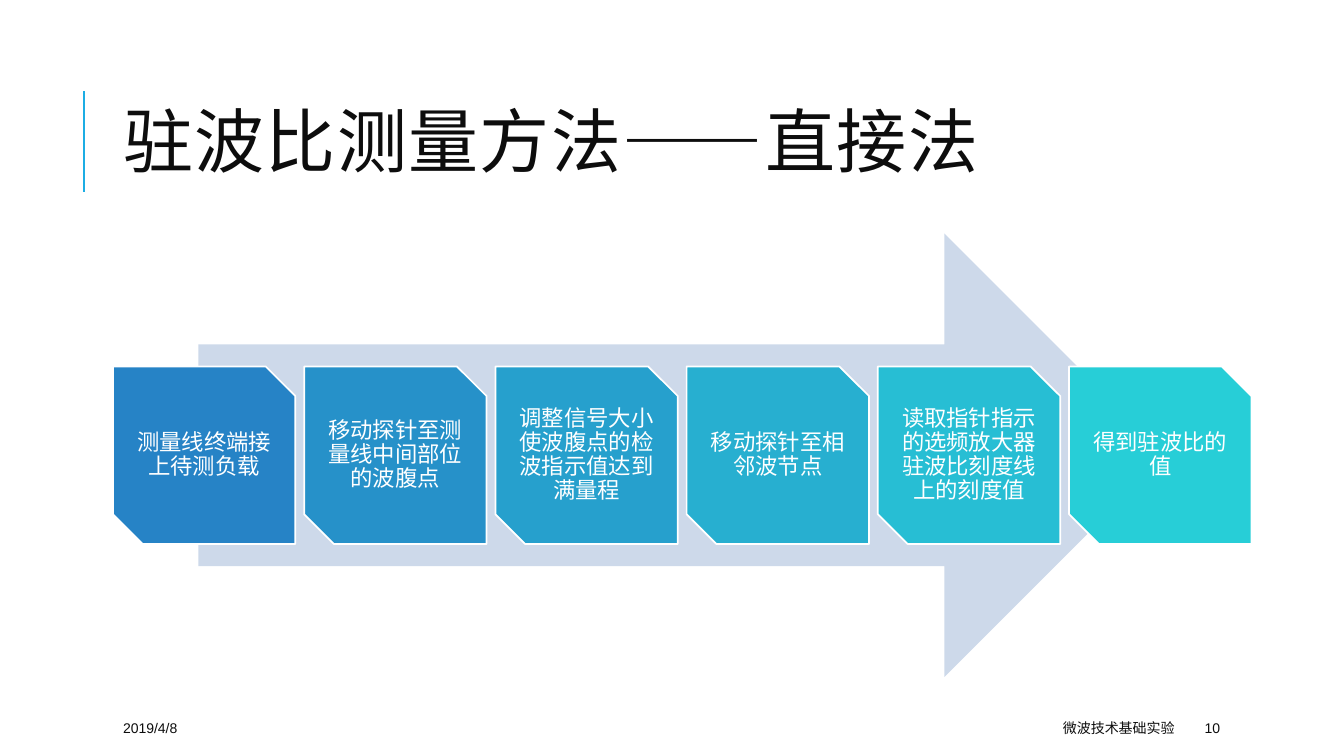
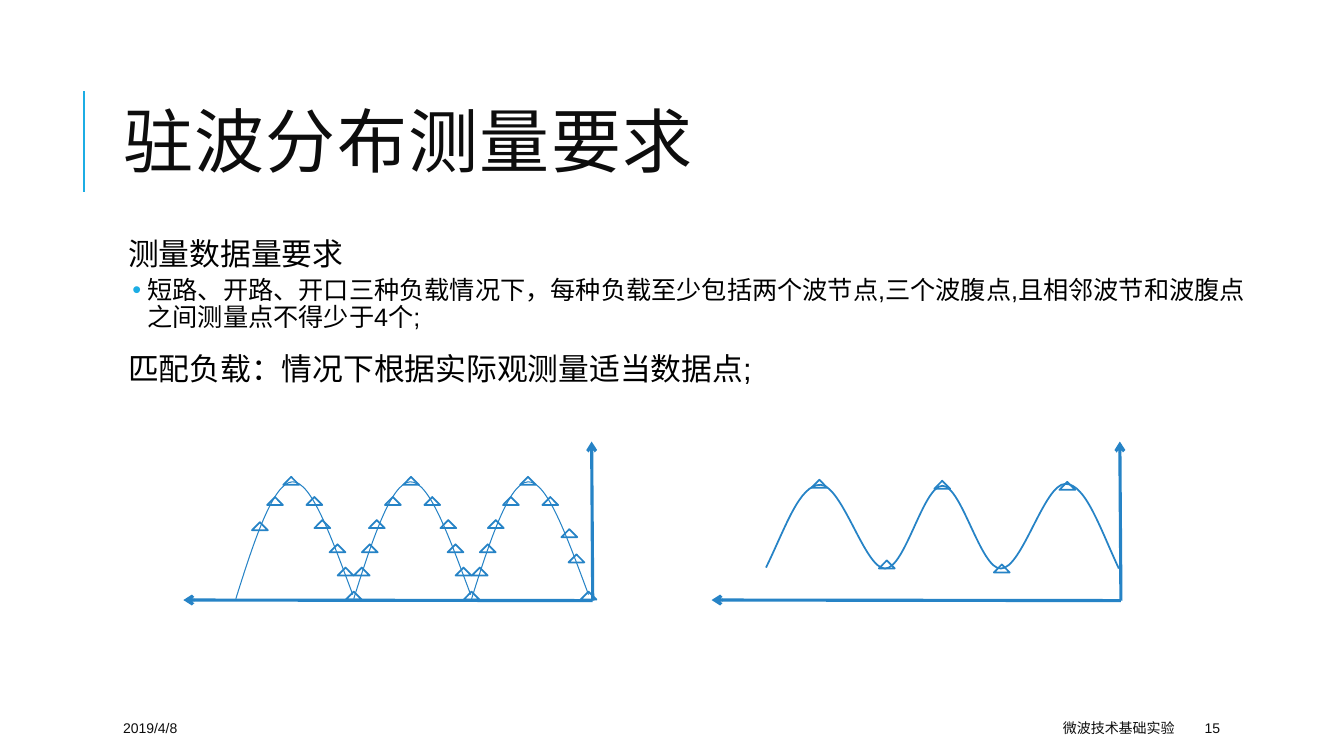
from pptx import Presentation
from pptx.dml.color import RGBColor
from pptx.enum.lang import MSO_LANGUAGE_ID
from pptx.enum.shapes import MSO_CONNECTOR, MSO_SHAPE
from pptx.enum.text import MSO_ANCHOR, PP_ALIGN
from pptx.oxml.ns import qn
from pptx.util import Pt
from lxml.etree import SubElement

FONT = "Arial"
INK, BLACK, WHITE = "0D0D0D", "000000", "FFFFFF"
BLUE, SKY, PALE = "2683C6", "1CADE4", "CDD9EA"
EDGE, WIDE = 80.64, 813.6

DATE, COURSE = "2019/4/8", "微波技术基础实验"

STEPS = [
    ("测量线终端接上待测负载", "2683C6"),
    ("移动探针至测量线中间部位的波腹点", "2691C9"),
    ("调整信号大小使波腹点的检波指示值达到满量程", "26A0CD"),
    ("移动探针至相邻波节点", "27AFD0"),
    ("读取指针指示的选频放大器驻波比刻度线上的刻度值", "27BED4"),
    ("得到驻波比的值", "27CED7"),
]

HEAD = dict(size=22, color=BLACK, lead=0.9, before=12, after=2, left=7.2)
ITEM = dict(size=18, color=BLACK, lead=0.9, before=2, after=4, left=20.9,
            hang=10.8, bullet="•")
BODY = [
    ("测量数据量要求", HEAD),
    ("短路、开路、开口三种负载情况下，每种负载至少包括两个波节点,"
     "三个波腹点,且相邻波节和波腹点之间测量点不得少于4个;", ITEM),
    ("匹配负载：情况下根据实际观测量适当数据点;", HEAD),
]

# Curves: a start point, then two controls and an end for each segment.
ARCH = [(168.5, 427.7),
        (181.4, 386.6), (195.1, 344.9), (208.8, 344.2),
        (222.5, 343.4), (236.9, 384.5), (252, 424.8)]
WAVE = [(547.2, 405.4),
        (561.6, 375.8), (571, 346.3), (586.1, 346.3),
        (601.9, 347), (617.8, 406.1), (632.2, 406.1),
        (646.6, 406.1), (659.5, 347), (673.2, 347),
        (686.9, 347), (700.6, 406.8), (715, 406.1),
        (730.1, 406.1), (745.9, 345.6), (761, 345.6),
        (775.4, 345.6), (785.5, 376.6), (799.2, 406.1)]
ARCHES, PERIOD = 3, 84.2
AXES, AXGAP = [(131, 428.6), (423.4, 429), (422.6, 315.4)], 377.3

# Marker tops, each with the left edges on that level.
MARKS = {
    340.6: [202.3, 288, 371.5],
    355: [190.8, 218.9, 275, 303.1, 359.3, 387.4],
    371.5: [224.6, 263.5, 314.6, 348.5],
    373: [180],
    378: [401],
    388.8: [235.4, 258.5, 319.7, 342.7],
    396: [406.1],
    405.4: [241.2, 252.7, 325.4, 337],
    422.6: [247, 331.2, 414.7],
    342.7: [579.6],
    343.4: [667.4],
    344.2: [756.7],
    400.3: [627.8],
    403.2: [709.9],
}


def paint(hue):
    """Turn a hex string into a colour."""
    return RGBColor.from_string(hue)


def write(frame, text, size=10, color=INK, align=PP_ALIGN.LEFT, lead=None,
          before=0, after=0, left=0, hang=0, bullet=None, track=None,
          more=False):
    """Write one formatted paragraph, adding it when more is set."""
    para = frame.add_paragraph() if more else frame.paragraphs[0]
    para.alignment = align
    para.space_before, para.space_after = Pt(before), Pt(after)
    if lead:
        para.line_spacing = lead
    props = para._p.get_or_add_pPr()
    props.set("marL", str(Pt(left)))
    props.set("indent", str(-Pt(hang)))
    if bullet:
        tint = SubElement(props, qn("a:buClr"))
        SubElement(tint, qn("a:srgbClr")).set("val", SKY)
        SubElement(props, qn("a:buFont")).set("typeface", FONT)
        SubElement(props, qn("a:buChar")).set("char", bullet)
    run = para.add_run()
    run.text = text
    font = run.font
    font.name, font.size = FONT, Pt(size)
    font.color.rgb = paint(color)
    font.language_id = MSO_LANGUAGE_ID.SIMPLIFIED_CHINESE
    if track:
        run._r.get_or_add_rPr().set("spc", str(track * 100))


def inset(frame, gap):
    """Set equal margins on all sides of a text frame."""
    frame.margin_left = frame.margin_right = Pt(gap)
    frame.margin_top = frame.margin_bottom = Pt(gap)


def box(slide, x, y, w, h, anchor=MSO_ANCHOR.MIDDLE):
    """Add a wrapping text box and return its frame."""
    frame = slide.shapes.add_textbox(Pt(x), Pt(y), Pt(w), Pt(h)).text_frame
    frame.word_wrap = True
    frame.vertical_anchor = anchor
    return frame


def style(shape, fill=None, line=None, width=1.25):
    """Set fill and outline, with no shadow."""
    shape.shadow.inherit = False
    if fill:
        shape.fill.solid()
        shape.fill.fore_color.rgb = paint(fill)
    else:
        shape.fill.background()
    if line:
        shape.line.color.rgb = paint(line)
        shape.line.width = Pt(width)
    else:
        shape.line.fill.background()


def form(slide, kind, x, y, w, h, **look):
    """Add a styled preset shape."""
    shape = slide.shapes.add_shape(kind, Pt(x), Pt(y), Pt(w), Pt(h))
    style(shape, **look)
    return shape


def rule(slide, start, end, color, width, arrow=False):
    """Add a straight line, with an arrowhead at its end if asked."""
    line = slide.shapes.add_connector(
        MSO_CONNECTOR.STRAIGHT, *[Pt(v) for v in (*start, *end)])
    line.line.color.rgb = paint(color)
    line.line.width = Pt(width)
    if arrow:
        SubElement(line.line._get_or_add_ln(), qn("a:tailEnd")).set(
            "type", "arrow")
    SubElement(line._element.spPr, qn("a:effectLst"))


def curve(slide, knots, width, shift=0):
    """Draw an open chain of cubic segments, moved right by shift."""
    dots = [(Pt(x + shift), Pt(y)) for x, y in knots]
    pen = slide.shapes.build_freeform(*dots[0], scale=1.0)
    pen.add_line_segments(dots[1:], close=False)
    shape = pen.convert_to_shape()
    style(shape, line=BLUE, width=width)
    steps = list(shape._element.iter(qn("a:lnTo")))
    track = steps[0].getparent()
    for k in range(0, len(steps), 3):
        bend = SubElement(track, qn("a:cubicBezTo"))
        for step in steps[k:k + 3]:
            bend.append(step[0])
            track.remove(step)


def page(deck, title, number):
    """Add a slide with the shared rule, title and footer."""
    slide = deck.slides.add_slide(deck.slide_layouts[6])
    rule(slide, (60, 136.8), (60, 64.8), SKY, 1.5)
    write(box(slide, EDGE + 0.2, 46.1, WIDE, 118.1), title,
          size=50, lead=0.8, track=1)
    for x, w, text, align in [
            (EDGE + 0.2, 169.9, DATE, PP_ALIGN.LEFT),
            (381.6, 464.4, COURSE, PP_ALIGN.RIGHT),
            (853.4, 76.3, str(number), PP_ALIGN.LEFT)]:
        write(box(slide, x, 509.4, w, 21.6), text, align=align)
    return slide


def flow(slide):
    """Draw the wide arrow and the row of steps."""
    form(slide, MSO_SHAPE.RIGHT_ARROW, 141.8, 166.8, 691.2, 316.8, fill=PALE)
    for i, (text, hue) in enumerate(STEPS):
        card = form(slide, MSO_SHAPE.SNIP_2_DIAG_RECTANGLE,
                    EDGE + i * 136.6, 261.8, 130.3, 126.7,
                    fill=hue, line=WHITE)
        frame = card.text_frame
        frame.word_wrap = True
        frame.vertical_anchor = MSO_ANCHOR.MIDDLE
        inset(frame, 4.8)
        write(frame, text, size=16, color=WHITE, lead=0.9,
              align=PP_ALIGN.CENTER)


def plots(slide):
    """Draw both wave plots with axes and markers."""
    for i in range(ARCHES):
        curve(slide, ARCH, 0.75, i * PERIOD)
    curve(slide, WAVE, 1.25)
    for shift in (0, AXGAP):
        left, corner, top = [(x + shift, y) for x, y in AXES]
        for tip in (left, top):
            rule(slide, corner, tip, BLUE, 2.25, arrow=True)
    for y, lefts in MARKS.items():
        for x in lefts:
            form(slide, MSO_SHAPE.ISOSCELES_TRIANGLE, x, y, 11.3, 5.7,
                 line=BLUE)


deck = Presentation()
deck.slide_width, deck.slide_height = Pt(960), Pt(540)

flow(page(deck, "驻波比测量方法——直接法", 10))

needs = page(deck, "驻波分布测量要求", 15)
frame = box(needs, EDGE + 0.2, 166.8, WIDE, 316.8, MSO_ANCHOR.TOP)
inset(frame, 3.6)
for i, (text, look) in enumerate(BODY):
    write(frame, text, more=i > 0, **look)
plots(needs)

deck.save("out.pptx")
